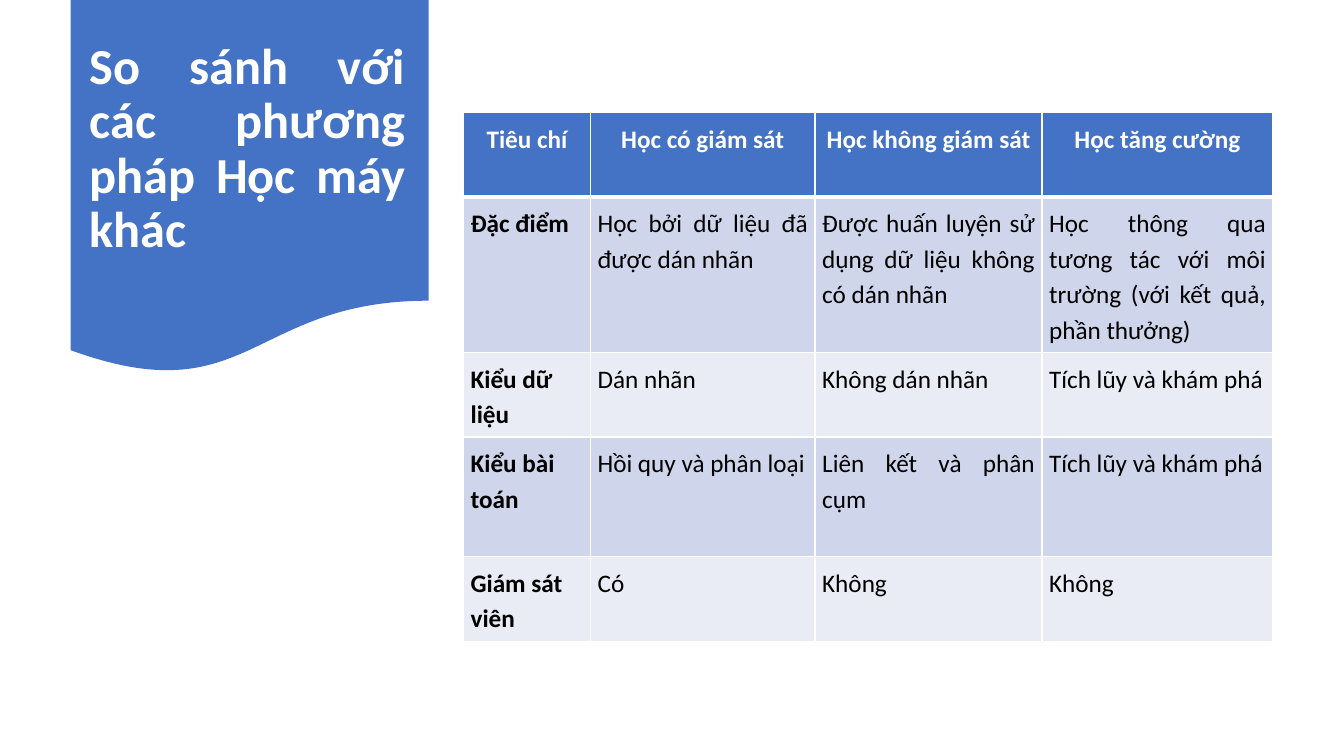
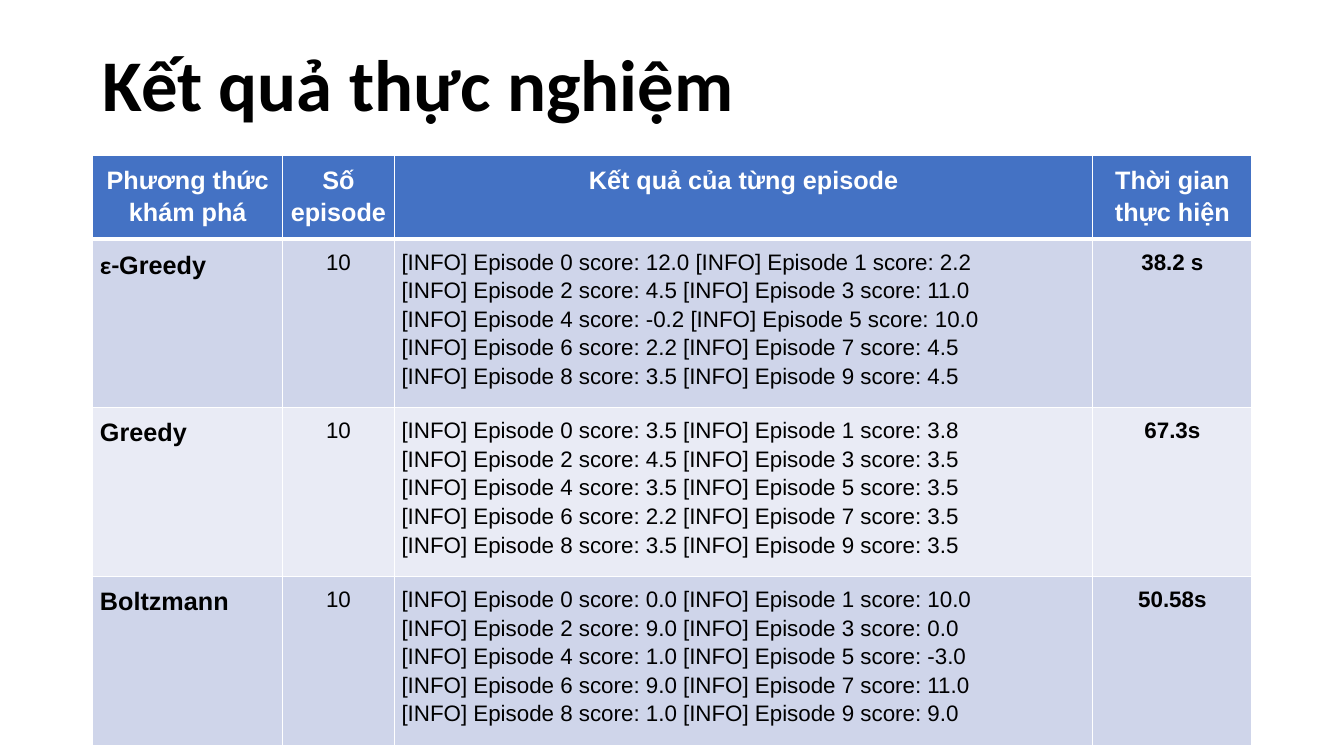
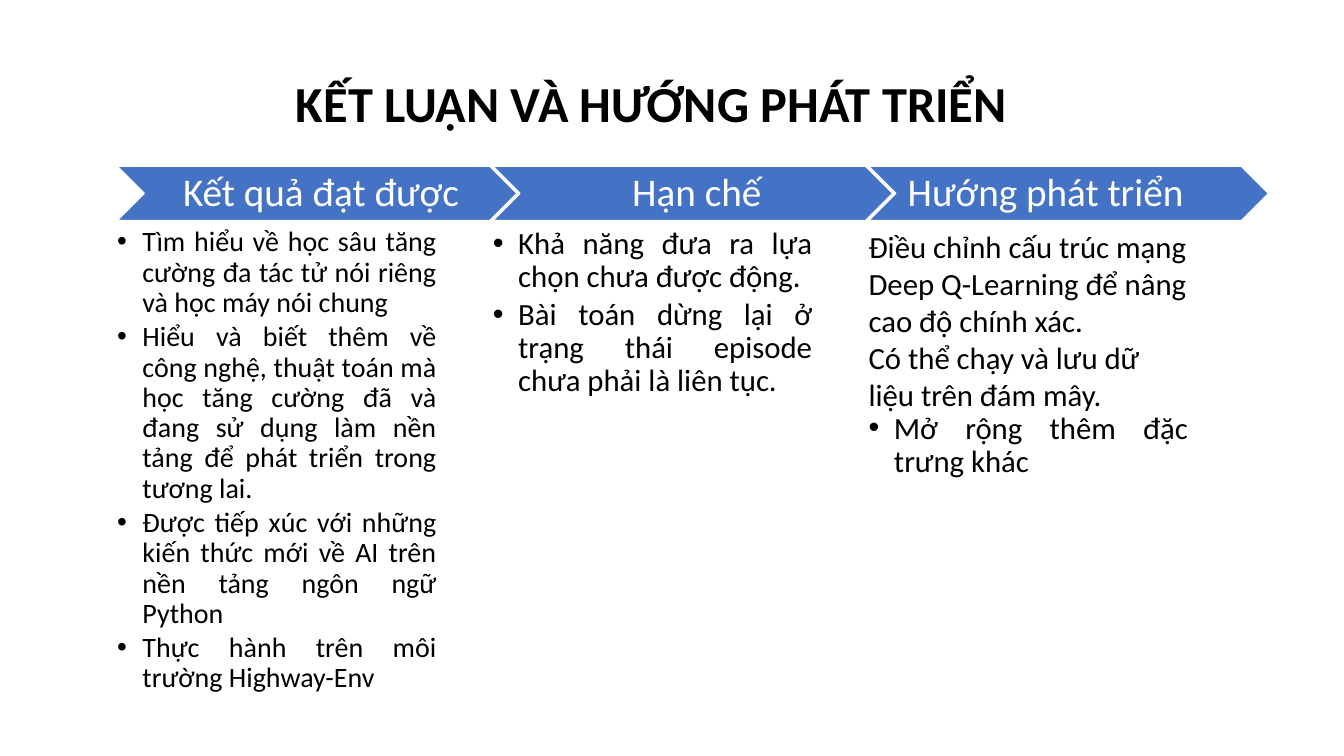
from dataclasses import dataclass, replace

from lxml import etree
from pptx import Presentation
from pptx.dml.color import RGBColor
from pptx.enum.shapes import MSO_SHAPE
from pptx.enum.text import MSO_ANCHOR, PP_ALIGN
from pptx.oxml.ns import qn
from pptx.util import Cm, Pt

LEFT, CENTER, JUSTIFY = PP_ALIGN.LEFT, PP_ALIGN.CENTER, PP_ALIGN.JUSTIFY
TOP, MIDDLE = MSO_ANCHOR.TOP, MSO_ANCHOR.MIDDLE
DOCUMENT, CHEVRON = MSO_SHAPE.FLOWCHART_DOCUMENT, MSO_SHAPE.CHEVRON


@dataclass(frozen=True)
class Theme:
    accent: str = "4472C4"
    bands: tuple = ("CFD5EA", "E9EBF5")
    white: str = "FFFFFF"
    black: str = "000000"
    sans: str = "Calibri"
    plain: str = "Arial"
    headline: float = 52
    title: float = 36
    step: float = 28
    body: float = 22
    dense: float = 20
    cell: float = 18
    log: float = 16


THEME = Theme()


@dataclass(frozen=True)
class Style:
    size: float
    color: str = THEME.black
    font: str = THEME.sans
    bold: bool = False
    align: PP_ALIGN = LEFT
    spacing: float = 1.0
    after: float = 0
    bullet: bool = False


TITLE = Style(THEME.title, bold=True)
RIBBON_TITLE = replace(TITLE, color=THEME.white, align=JUSTIFY, spacing=0.9, after=6)
HEADLINE = replace(TITLE, size=THEME.headline, spacing=0.9, after=6)
CELL = Style(THEME.cell, align=JUSTIFY, spacing=1.15)
HEADER = replace(CELL, color=THEME.white, bold=True, align=CENTER)
LABEL = replace(CELL, bold=True, align=LEFT)
LOG = replace(CELL, size=THEME.log, font=THEME.plain)
COUNT = replace(LOG, align=CENTER)
DURATION = replace(COUNT, bold=True)
STEP = Style(THEME.step, THEME.white, align=CENTER, spacing=0.9)
PLAIN = Style(THEME.body)
BULLET = Style(THEME.body, align=JUSTIFY, spacing=0.9, after=3.3, bullet=True)
DENSE = replace(BULLET, size=THEME.dense, after=3)

COMPARISON_TITLE = "So sánh với các phương pháp Học máy khác"
COMPARISON = [
    ("Tiêu chí", "Học có giám sát", "Học không giám sát", "Học tăng cường"),
    ("Đặc điểm", "Học bởi dữ liệu đã được dán nhãn",
     "Được huấn luyện sử dụng dữ liệu không có dán nhãn",
     "Học thông qua tương tác với môi trường (với kết quả, phần thưởng)"),
    ("Kiểu dữ liệu", "Dán nhãn", "Không dán nhãn", "Tích lũy và khám phá"),
    ("Kiểu bài toán", "Hồi quy và phân loại", "Liên kết và phân cụm", "Tích lũy và khám phá"),
    ("Giám sát viên", "Có", "Không", "Không"),
]
COMPARISON_COLUMNS = (3.2, 5.66, 5.72, 5.82)
COMPARISON_ROWS = (2.13, 3.91, 2.13, 3.02, 2.13)

RESULTS_TITLE = "Kết quả thực nghiệm"
RESULTS_HEADER = ("Phương thức khám phá", "Số episode", "Kết quả của từng episode",
                  "Thời gian thực hiện")
RESULTS = [
    ([("ε-", THEME.sans), ("Greedy", THEME.plain)],
     (12.0, 2.2, 4.5, 11.0, -0.2, 10.0, 2.2, 4.5, 3.5, 4.5), "38.2 s"),
    ([("Greedy", THEME.plain)],
     (3.5, 3.8, 4.5, 3.5, 3.5, 3.5, 2.2, 3.5, 3.5, 3.5), "67.3s"),
    ([("Boltzmann", THEME.plain)],
     (0.0, 10.0, 9.0, 0.0, 1.0, -3.0, 9.0, 11.0, 1.0, 9.0), "50.58s"),
]
RESULTS_COLUMNS = (4.78, 2.82, 17.6, 4.01)
RESULTS_ROWS = (2.08, 4.22, 4.22, 4.22)

CONCLUSION_TITLE = "KẾT LUẬN VÀ HƯỚNG PHÁT TRIỂN"
CONCLUSIONS = [
    ("Kết quả đạt được", CENTER, [
        ("Tìm hiểu về học sâu tăng cường đa tác tử nói riêng và học máy nói chung", DENSE),
        ("Hiểu và biết thêm về công nghệ, thuật toán mà học tăng cường đã và đang sử dụng "
         "làm nền tảng để phát triển trong tương lai.", DENSE),
        ("Được tiếp xúc với những kiến thức mới về AI trên nền tảng ngôn ngữ Python", DENSE),
        ("Thực hành trên môi trường Highway-Env", DENSE),
    ]),
    ("Hạn chế", CENTER, [
        ("Khả năng đưa ra lựa chọn chưa được động.", BULLET),
        ("Bài toán dừng lại ở trạng thái episode chưa phải là liên tục.", BULLET),
    ]),
    ("Hướng phát triển", JUSTIFY, [
        ("Điều chỉnh cấu trúc mạng Deep Q-Learning để nâng cao độ chính xác.", PLAIN),
        ("Có thể chạy và lưu dữ liệu trên đám mây.", PLAIN),
        ("Mở rộng thêm đặc trưng khác", BULLET),
    ]),
]
STEP_LEFT, STEP_PITCH, STEP_TOP = 2.95, 9.47, 4.19
STEP_WIDTH, STEP_HEIGHT = 10.08, 1.37
NOTES_TOP, NOTES_WIDTH, NOTES_HEIGHT = 5.74, 8.05, 11.73


def set_bullet(paragraph):
    properties = paragraph._p.get_or_add_pPr()
    properties.set("marL", str(Cm(0.64)))
    properties.set("indent", str(-Cm(0.64)))
    etree.SubElement(properties, qn("a:buFont")).set("typeface", THEME.plain)
    etree.SubElement(properties, qn("a:buChar")).set("char", "•")


def fill_text(frame, paragraphs):
    for index, (content, style) in enumerate(paragraphs):
        paragraph = frame.paragraphs[0] if index == 0 else frame.add_paragraph()
        if style.bullet:
            set_bullet(paragraph)
        paragraph.alignment = style.align
        paragraph.line_spacing = style.spacing
        paragraph.space_before = Pt(0)
        paragraph.space_after = Pt(style.after)
        runs = [(content, style.font)] if isinstance(content, str) else content
        for text, font in runs:
            run = paragraph.add_run()
            run.text = text
            run.font.name = font
            run.font.size = Pt(style.size)
            run.font.bold = style.bold
            run.font.color.rgb = RGBColor.from_string(style.color)


def set_frame(frame, anchor, margins):
    frame.word_wrap = True
    frame.vertical_anchor = anchor
    frame.margin_left, frame.margin_top, frame.margin_right, frame.margin_bottom = map(Cm, margins)


def add_text(slide, box, paragraphs, anchor=TOP, margins=(0.25, 0.13, 0.25, 0.13)):
    frame = slide.shapes.add_textbox(*map(Cm, box)).text_frame
    set_frame(frame, anchor, margins)
    fill_text(frame, paragraphs)


def add_accent_shape(slide, kind, box):
    shape = slide.shapes.add_shape(kind, *map(Cm, box))
    shape.shadow.inherit = False
    shape.fill.solid()
    shape.fill.fore_color.rgb = RGBColor.from_string(THEME.accent)
    shape.line.fill.background()
    return shape


def set_borders(cell, widths):
    properties = cell._tc.get_or_add_tcPr()
    for index, (side, width) in enumerate(widths.items()):
        line = etree.Element(qn(f"a:{side}"), w=str(Pt(width)))
        fill = etree.SubElement(line, qn("a:solidFill"))
        etree.SubElement(fill, qn("a:srgbClr")).set("val", THEME.white)
        properties.insert(index, line)


def add_grid(slide, left, top, widths, heights, rows):
    table = slide.shapes.add_table(len(heights), len(widths), Cm(left), Cm(top),
                                   Cm(sum(widths)), Cm(sum(heights))).table
    for column, width in zip(table.columns, widths):
        column.width = Cm(width)
    for row, height in zip(table.rows, heights):
        row.height = Cm(height)
    for row_index, row in enumerate(rows):
        color = THEME.bands[(row_index - 1) % 2] if row_index else THEME.accent
        for column_index, paragraphs in enumerate(row):
            cell = table.cell(row_index, column_index)
            cell.margin_left = cell.margin_right = Cm(0.18)
            cell.margin_top = cell.margin_bottom = Cm(0.18)
            cell.fill.solid()
            cell.fill.fore_color.rgb = RGBColor.from_string(color)
            set_borders(cell, {"lnL": 1, "lnR": 1, "lnT": 3 if row_index == 1 else 1,
                               "lnB": 1 if row_index else 3})
            fill_text(cell.text_frame, paragraphs)


def log_lines(scores):
    entries = [f"[INFO] Episode {index} score: {score}" for index, score in enumerate(scores)]
    return [(" ".join(pair), LOG) for pair in zip(entries[::2], entries[1::2])]


def build_comparison(slide):
    add_accent_shape(slide, DOCUMENT, (1.78, 0, 9.02, 9.45))
    add_text(slide, (2.01, 0.48, 8.46, 6.58), [(COMPARISON_TITLE, RIBBON_TITLE)], MIDDLE)
    header, *body = COMPARISON
    rows = [[[(text, HEADER)] for text in header]]
    for label, *texts in body:
        rows.append([[(label, LABEL)]] + [[(text, CELL)] for text in texts])
    add_grid(slide, 11.68, 2.84, COMPARISON_COLUMNS, COMPARISON_ROWS, rows)


def build_results(slide):
    add_text(slide, (2.34, 0.13, 29.21, 4.19), [(RESULTS_TITLE, HEADLINE)], MIDDLE)
    header_style = replace(HEADER, font=THEME.plain)
    rows = [[[(text, header_style)] for text in RESULTS_HEADER]]
    for method, scores, duration in RESULTS:
        rows.append([[(method, LABEL)], [(str(len(scores)), COUNT)],
                     log_lines(scores), [(duration, DURATION)]])
    add_grid(slide, 2.34, 3.91, RESULTS_COLUMNS, RESULTS_ROWS, rows)


def build_conclusion(slide):
    add_text(slide, (1.8, 1.68, 29.24, 1.8), [(CONCLUSION_TITLE, replace(TITLE, align=CENTER))])
    for index, (name, align, notes) in enumerate(CONCLUSIONS):
        left = STEP_LEFT + index * STEP_PITCH
        step = add_accent_shape(slide, CHEVRON, (left, STEP_TOP, STEP_WIDTH, STEP_HEIGHT))
        step.line.color.rgb = RGBColor.from_string(THEME.white)
        step.line.width = Pt(1)
        set_frame(step.text_frame, MIDDLE, (0.3, 0.1, 0.1, 0.1))
        fill_text(step.text_frame, [(name, replace(STEP, align=align))])
        add_text(slide, (left, NOTES_TOP, NOTES_WIDTH, NOTES_HEIGHT), notes, margins=(0, 0, 0, 0))


def main():
    presentation = Presentation()
    presentation.slide_width, presentation.slide_height = Cm(33.87), Cm(19.05)
    blank = presentation.slide_layouts[6]
    for build in (build_comparison, build_results, build_conclusion):
        build(presentation.slides.add_slide(blank))
    presentation.save("out.pptx")


if __name__ == "__main__":
    main()
